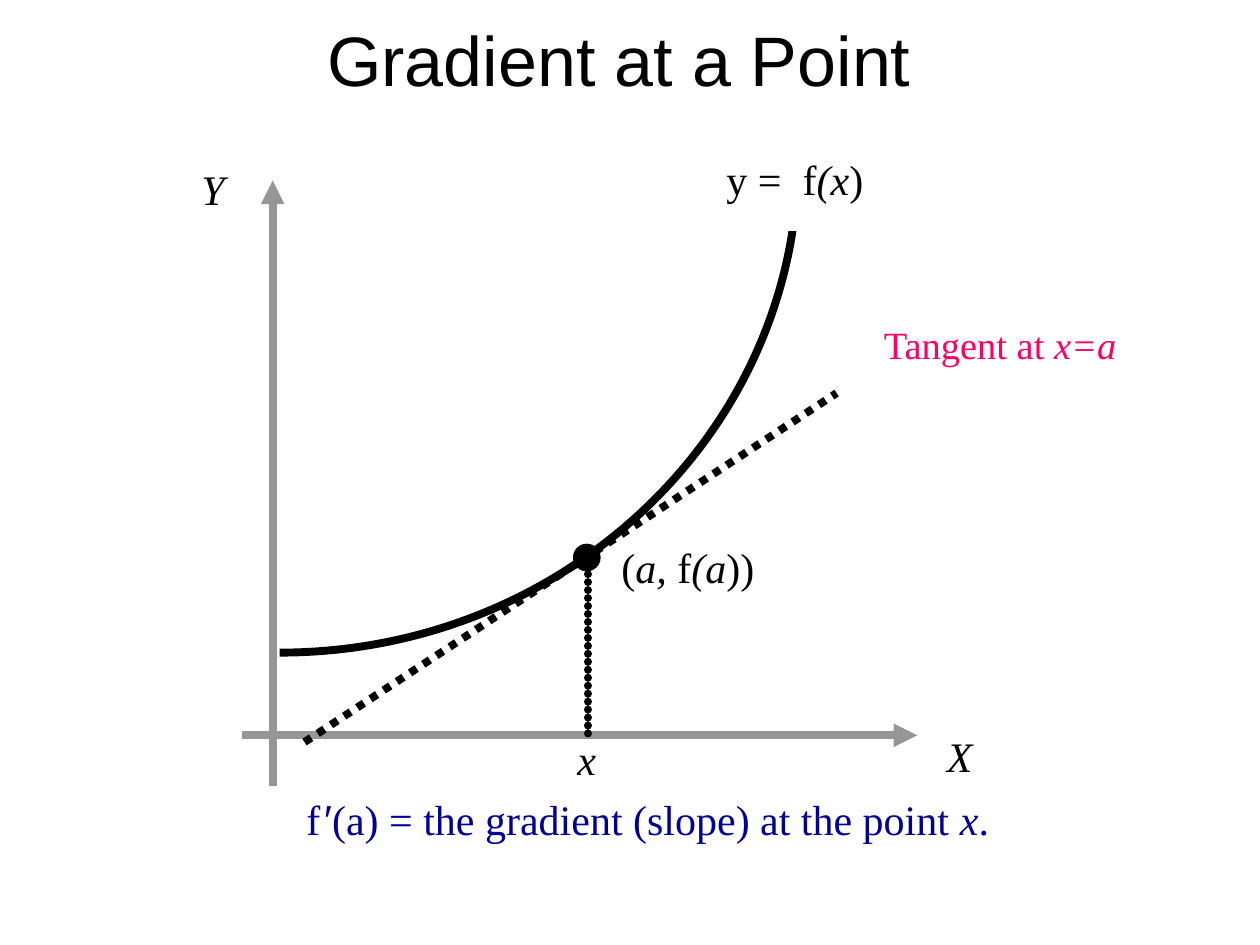
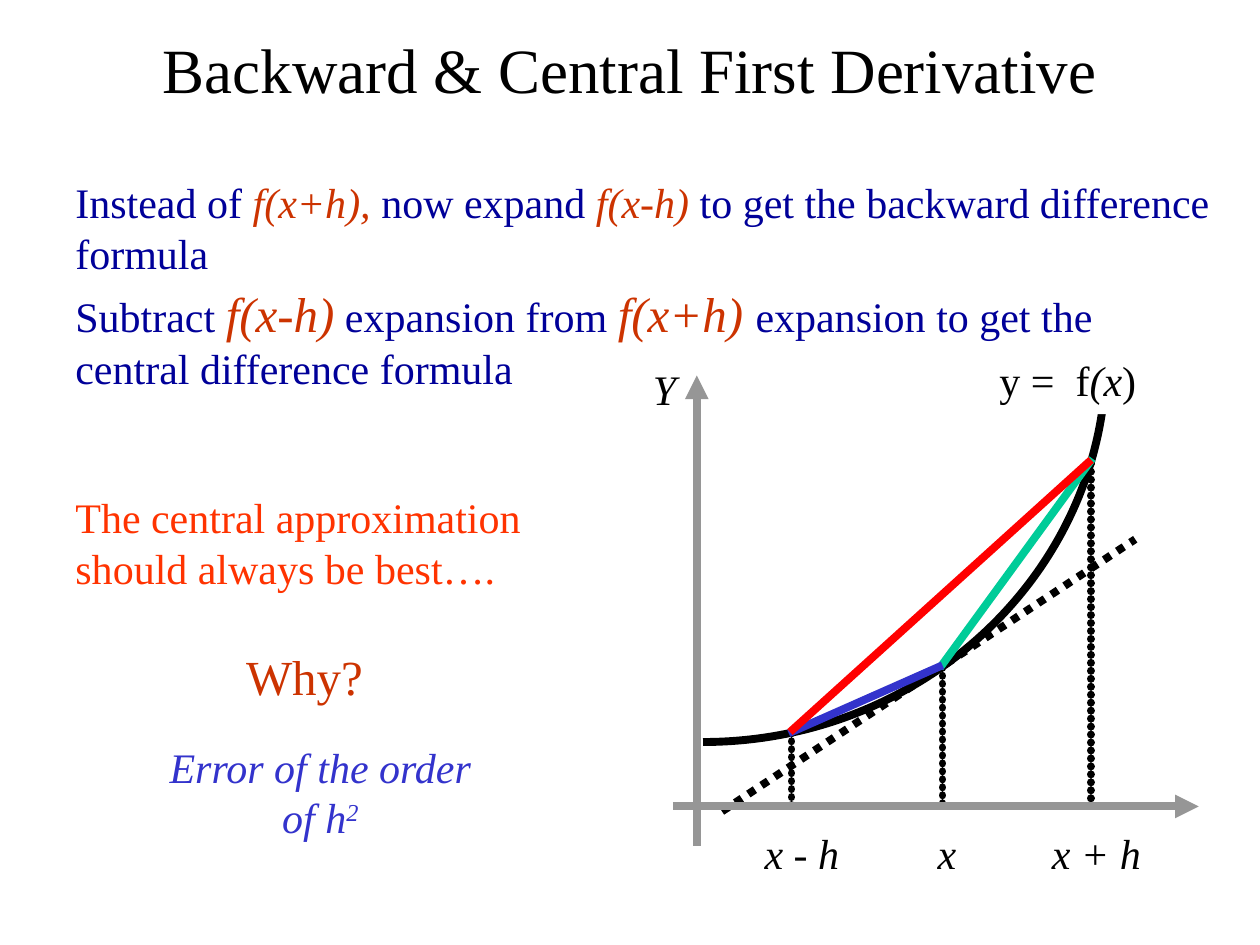
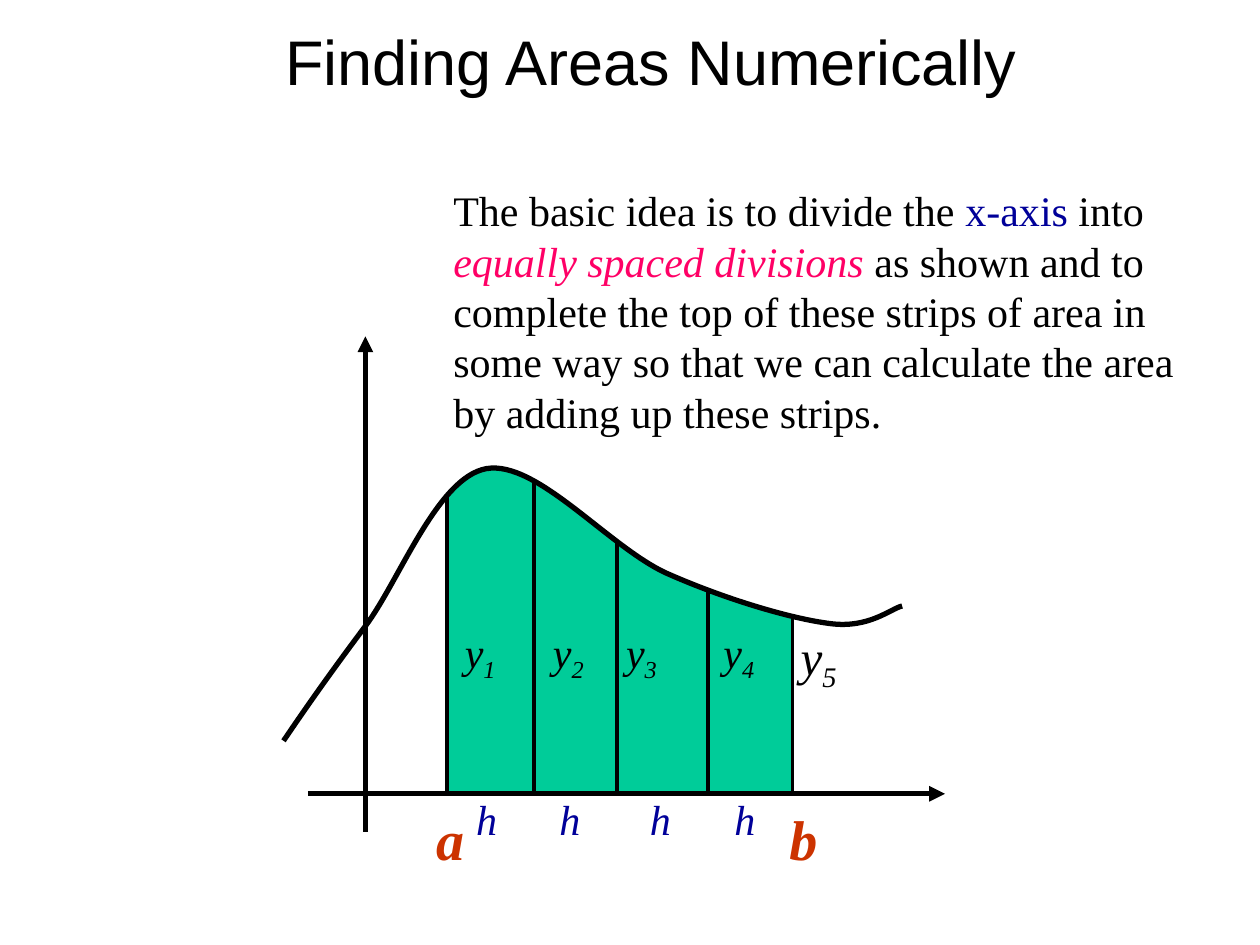
import math

from lxml import etree
from pptx import Presentation
from pptx import util as u
from pptx.dml.color import RGBColor
from pptx.enum import dml, shapes, text
from pptx.oxml import ns

BLACK = RGBColor(0, 0, 0)
WHITE = RGBColor(0xFF, 0xFF, 0xFF)
GREY = RGBColor(0x96, 0x96, 0x96)
NAVY = RGBColor(0, 0, 0x99)
BLUE = RGBColor(0x33, 0x33, 0xCC)
RUST = RGBColor(0xCC, 0x33, 0)
ORANGE = RGBColor(0xFF, 0x33, 0)
RED = RGBColor(0xFF, 0, 0)
PINK = RGBColor(0xFF, 0, 0x66)
GREEN = RGBColor(0, 0xCC, 0x99)
SERIF, SANS = "Times New Roman", "Arial"
CENTER = text.PP_ALIGN.CENTER
COLS, ROWS = 100, 75
QUARTER = 0.5523
F_OF_X = ("y =", (" ", {"spread": 6}), "f", ("(x", {"italic": True}), ")")


class Deck:
    def __init__(self):
        self.prs = Presentation()
        self.prs.slide_width, self.prs.slide_height = u.Inches(10), u.Inches(7.5)
        self.s = None

    def slide(self):
        self.s = self.prs.slides.add_slide(self.prs.slide_layouts[6])

    def x(self, cols):
        return round(self.prs.slide_width * cols / COLS)

    def y(self, rows):
        return round(self.prs.slide_height * rows / ROWS)

    def box(self, left, top, width, height):
        return self.x(left), self.y(top), self.x(width), self.y(height)

    def label(self, place, *runs, size=24, color=BLACK, font=SERIF, italic=False,
              bold=False, align=None, middle=False, fill=None):
        sp = self.s.shapes.add_textbox(*self.box(*place))
        if fill is not None:
            sp.fill.solid()
            sp.fill.fore_color.rgb = fill
        tf = sp.text_frame
        tf.word_wrap = True
        if middle:
            tf.vertical_anchor = text.MSO_ANCHOR.MIDDLE
        p = tf.paragraphs[0]
        p.alignment = align
        f = p.font
        f.name, f.size, f.italic, f.bold = font, u.Pt(size), italic, bold
        f.color.rgb = color
        for run in runs:
            words, look = (run, {}) if isinstance(run, str) else run
            self.run(p, words, **look)

    def run(self, p, words, size=None, color=None, font=None, italic=None, base=None,
            spread=None):
        r = p.add_run()
        r.text = words
        if size:
            r.font.size = u.Pt(size)
        if color is not None:
            r.font.color.rgb = color
        if font:
            r.font.name = font
        if italic is not None:
            r.font.italic = italic
        if base:
            r.font._element.set("baseline", str(base * 1000))
        if spread:
            r.font._element.set("spc", str(spread * 100))

    def line(self, x1, y1, x2, y2, color=BLACK, width=4.5, arrow=False,
             dashed=False, dotted=False):
        c = self.s.shapes.add_connector(shapes.MSO_CONNECTOR.STRAIGHT, self.x(x1),
                                        self.y(y1), self.x(x2), self.y(y2))
        c.line.color.rgb = color
        c.line.width = u.Pt(width)
        if dashed:
            c.line.dash_style = dml.MSO_LINE.ROUND_DOT
        sp_pr = c._element.spPr
        ln = sp_pr.find(ns.qn("a:ln"))
        if dotted:
            ln.set("cap", "rnd")
            dash = etree.SubElement(ln, ns.qn("a:custDash"))
            etree.SubElement(dash, ns.qn("a:ds"), d="1000", sp="100000")
        if arrow:
            etree.SubElement(ln, ns.qn("a:tailEnd"), type="triangle")
        etree.SubElement(sp_pr, ns.qn("a:effectLst"))

    def outline(self, points, fill=None, width=None):
        spots = [(self.x(x), self.y(y)) for x, y in points]
        pen = self.s.shapes.build_freeform(*spots[0])
        pen.add_line_segments(spots[1:], close=fill is not None)
        sp = pen.convert_to_shape()
        self.paint(sp, fill, width)
        return sp

    def curve(self, points, width):
        sp = self.outline(points, width=width)
        legs = list(sp._element.iter(ns.qn("a:lnTo")))
        for i in range(0, len(legs), 3):
            bend = etree.Element(ns.qn("a:cubicBezTo"))
            legs[i].addprevious(bend)
            for leg in legs[i:i + 3]:
                bend.append(leg[0])
                leg.getparent().remove(leg)

    def rising_curve(self, left, top, width, height):
        right, bottom = left + width, top + height
        self.curve([(left, bottom), (left + QUARTER * width, bottom),
                    (right, bottom - (1 - QUARTER) * height), (right, top)], 4.5)

    def shape(self, kind, place, fill, width=None):
        self.paint(self.s.shapes.add_shape(kind, *self.box(*place)), fill, width)

    def paint(self, sp, fill, width):
        sp.shadow.inherit = False
        if fill is None:
            sp.fill.background()
        else:
            sp.fill.solid()
            sp.fill.fore_color.rgb = fill
        if width:
            sp.line.color.rgb = BLACK
            sp.line.width = u.Pt(width)
        else:
            sp.line.fill.background()


def along(points, steps=24):
    path = [points[0]]
    for i in range(0, len(points) - 1, 3):
        for k in range(1, steps + 1):
            t = k / steps
            weights = [math.comb(3, j) * t ** j * (1 - t) ** (3 - j) for j in range(4)]
            path.append(tuple(sum(w * p[axis] for w, p in zip(weights, points[i:i + 4]))
                              for axis in (0, 1)))
    return path


def height_at(path, x):
    for (x1, y1), (x2, y2) in zip(path, path[1:]):
        if x1 <= x <= x2:
            return y1 + (y2 - y1) * (x - x1) / (x2 - x1)


def gradient_slide(d):
    d.slide()
    d.label((23.33, 62.5, 63.3, 6.7), "f", (" ", {"size": 9}), ("′", {"font": SANS}),
            "(a) = the gradient (slope) at the point ", ("x", {"italic": True}), ".",
            color=NAVY)
    d.line(19.17, 58.36, 72.8, 58.36, GREY, arrow=True)
    d.line(21.64, 62.4, 21.64, 14.33, GREY, arrow=True)
    d.label((74.17, 57.5, 10.3, 10.7), "X", italic=True)
    d.label((15, 12.5, 10.3, 10.7), "Y", italic=True)
    d.rising_curve(22.2, 12.5, 41.15, 39.3)
    d.label((56.67, 11.67, 19.2, 6.67), *F_OF_X, fill=WHITE)
    d.label((48.33, 42.5, 14.5, 10.7), "(", ("a, ", {"italic": True}), "f",
            ("(a", {"italic": True}), "))")
    d.line(46.65, 44.3, 46.65, 58.3, dotted=True)
    d.label((44.85, 57.7, 10.3, 10.7), "x", italic=True)
    d.shape(shapes.MSO_SHAPE.OVAL, (45.52, 43.2, 2.1, 2.1), BLACK, 0.75)
    d.line(24.17, 58.9, 66.4, 31.2, dashed=True)
    d.label((69.17, 25, 21.8, 9.2), "Tangent at ", ("x=a", {"italic": True}),
            size=22, color=PINK)
    d.label((25, 0.83, 55, 7.7), "Gradient at a Point", size=40, font=SANS)


def derivative_slide(d):
    formula = {"color": RUST, "italic": True}
    large = {**formula, "size": 28}
    d.slide()
    d.label((7.5, -0.83, 85, 12.5), "Backward & Central First Derivative", size=36,
            align=CENTER, middle=True)
    d.label((5, 13.54, 95, 9), "Instead of ", ("f(x+h), ", formula), "now expand ",
            ("f(x-h) ", formula), "to get the backward difference formula", color=NAVY)
    d.label((5, 22, 91.7, 9.7), "Subtract ", ("f(x-h)", large), " expansion from ",
            ("f(x+h) ", large), "expansion to get the central difference formula",
            color=NAVY)
    for left, name in ((73.43, "x"), (82.5, "x + h"), (59.7, "x - h")):
        d.label((left, 65.2, 10.3, 10.7), name, italic=True)
    d.line(57.3, 64.4, 90.1, 42.8, dashed=True)
    for x, top in ((86.57, 36.8), (62.82, 58.2), (74.8, 53)):
        d.line(x, top, x, 63.95, dotted=True)
    d.line(53.4, 64, 95.14, 64, GREY, arrow=True)
    d.line(55.3, 67.14, 55.3, 29.8, GREY, arrow=True)
    d.label((50.83, 28.33, 8, 8.3), "Y", italic=True)
    d.rising_curve(55.8, 28.3, 32, 30.6)
    d.label((78.33, 27.67, 20.8, 5.2), *F_OF_X, fill=WHITE)
    d.line(74.6, 53, 86.7, 36.4, GREEN)
    d.line(62.6, 58.2, 74.8, 52.8, BLUE)
    d.line(62.7, 58.1, 86.6, 36.5, RED)
    d.label((5, 38.54, 39.2, 9), "The central approximation should always be best….",
            color=ORANGE)
    d.label((10.83, 50.83, 26.67, 5.7), "Why?", size=28, color=RUST, align=CENTER)
    d.label((11.67, 58.35, 27.5, 9), "Error of the order of h", ("2", {"base": 30}),
            color=BLUE, italic=True, align=CENTER)


def areas_slide(d):
    bends = [(22.5, 58.8), (24.4, 56), (26.3, 53.3), (29, 49.7), (31.7, 46.1),
             (34.7, 37.9), (38.6, 37.2), (42.6, 36.5), (48.3, 43.4), (52.9, 45.5),
             (57.4, 47.5), (62.7, 49.1), (65.9, 49.5), (69, 49.9), (70.7, 48.3),
             (71.6, 48.1)]
    path = along(bends)
    edges = (35.5, 42.35, 49, 56.22, 62.9)
    block_tops = (41.7, 44.2, 48.3, 52.5)
    cap_ends = (42.7, 45.8, 51.7, 53.4)
    ground, cap_steps = 63, 10
    d.slide()
    d.label((12.5, 1.33, 78.33, 7), "Finding Areas Numerically", size=36, font=SANS,
            align=CENTER)
    d.label((35, 14.17, 61.7, 21), "The basic idea is to divide the ",
            ("x-axis", {"color": NAVY}), " into ",
            ("equally spaced divisions", {"color": PINK, "italic": True}),
            " as shown and to complete the top of these strips of area in some way "
            "so that we can calculate the area by adding up these strips.")
    for a, b, block_top, cap_end in zip(edges, edges[1:], block_tops, cap_ends):
        d.shape(shapes.MSO_SHAPE.RECTANGLE, (a, block_top, b - a, ground - block_top),
                GREEN)
        xs = [a + (b - a) * k / cap_steps for k in range(cap_steps + 1)]
        d.outline([(a, cap_end), *((x, height_at(path, x)) for x in xs), (b, cap_end)],
                  fill=GREEN)
    for x in edges:
        d.line(x, height_at(path, x), x, ground, width=2.25)
    for i, left in enumerate((35.9, 42.9, 48.7, 56.43, 62.55), 1):
        d.label((left, 49.2, 4.6 if i == 2 else 10.8, 10), "y", (str(i), {"base": -25}),
                size=28 if i == len(edges) else 24, italic=True)
    for left in (36.8, 43.4, 50.6, 57.3):
        d.label((left, 62.5, 8.9, 8.3), "h", color=NAVY, italic=True)
    d.curve(bends, 3)
    d.line(29, 66, 29, 26.7, width=3, arrow=True)
    d.line(24.44, ground, 75, ground, width=3, arrow=True)
    for left, width, name in ((33.63, 7.2, "a"), (61.67, 8.6, "b")):
        d.label((left, 63.33, width, 7.5), name, size=32, color=RUST, italic=True,
                bold=True)


def main():
    d = Deck()
    gradient_slide(d)
    derivative_slide(d)
    areas_slide(d)
    d.prs.save("out.pptx")


if __name__ == "__main__":
    main()
